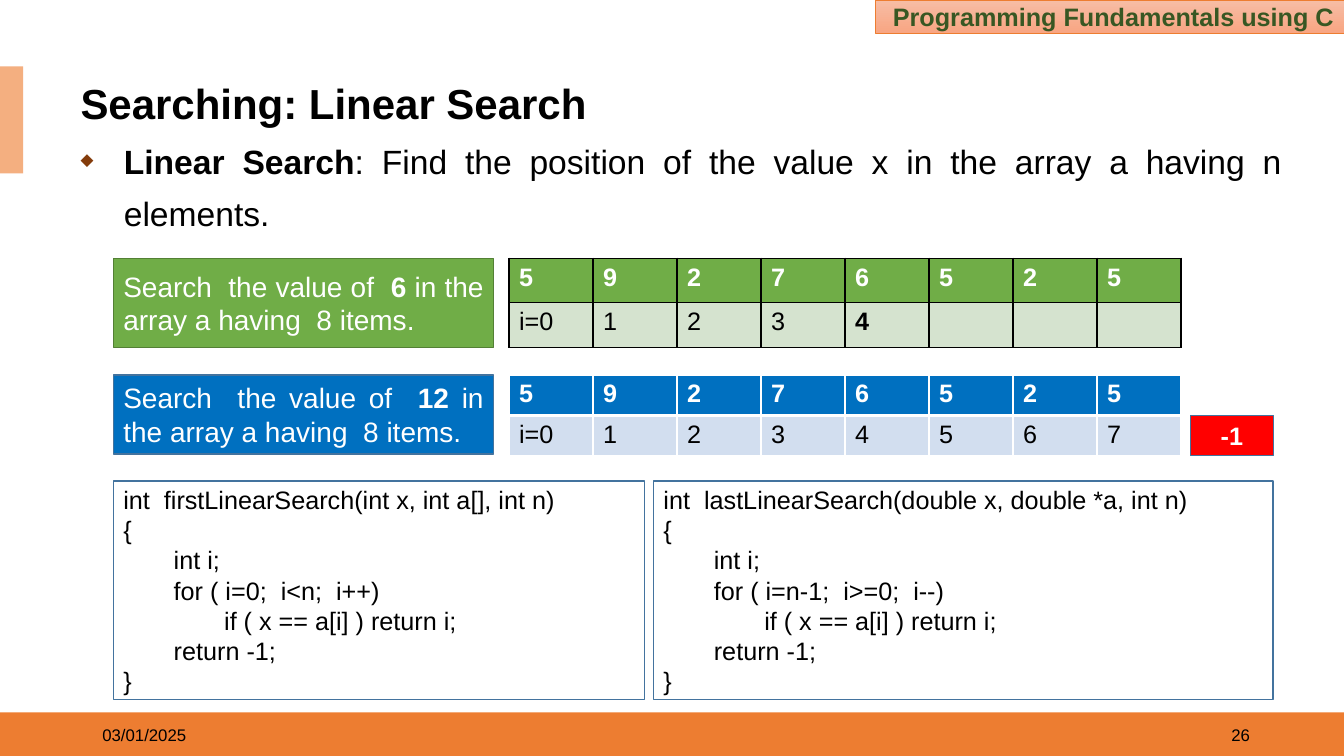
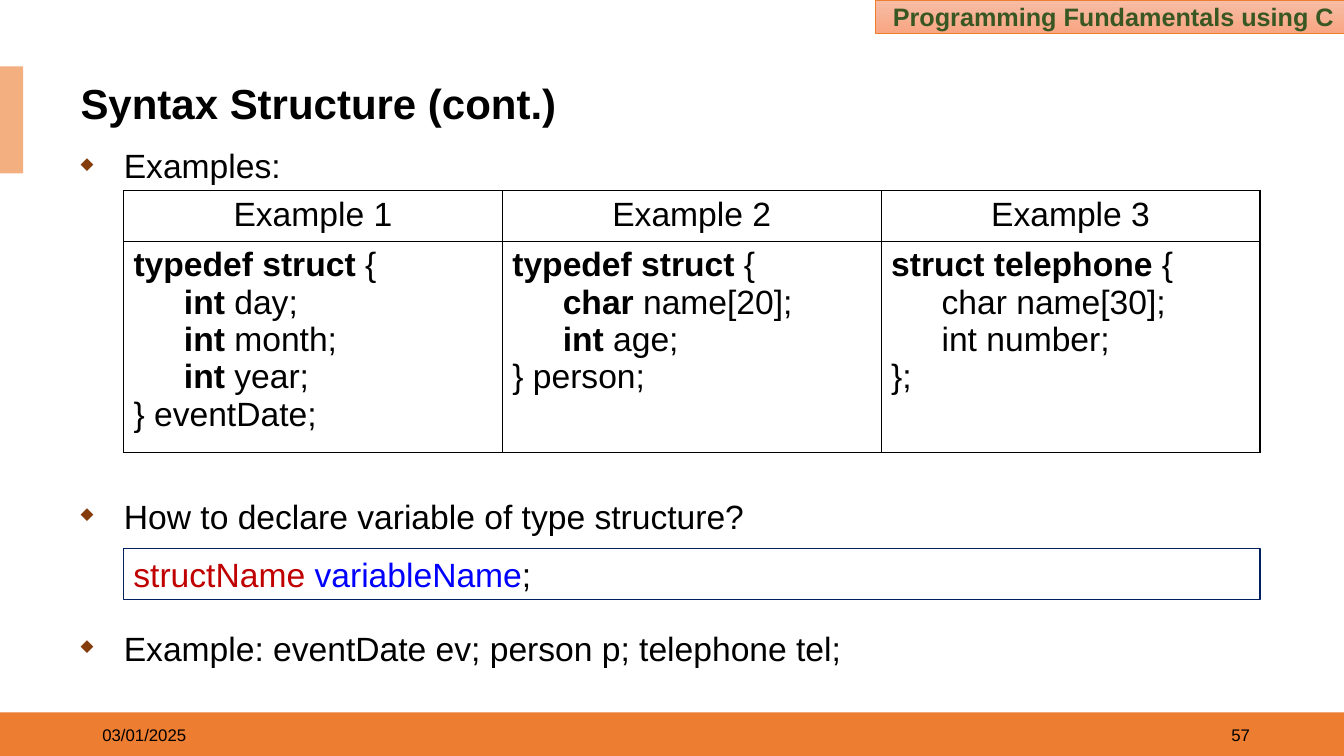
from lxml.etree import SubElement
from pptx import Presentation
from pptx.dml.color import RGBColor
from pptx.enum.shapes import MSO_SHAPE
from pptx.enum.text import MSO_ANCHOR, PP_ALIGN
from pptx.oxml.ns import qn
from pptx.util import Inches, Pt

COLS, ROWS = 160, 90  # grid of the slide
HEX = {
    "black": "000000", "white": "FFFFFF", "orange": "ED7D31", "peach": "F4AF80",
    "light": "F7BDA5", "deep": "F8A582", "olive": "385723", "brown": "843C0B",
    "green": "70AD47", "moss": "538035", "mint": "D5E3CF", "blue": "0070C0",
    "steel": "43739E", "ice": "D2DEEF", "red": "FF0000", "navy": "002060",
    "wine": "C00000", "pure": "0000FF",
}
# font formats by role
FONT = {
    "head": dict(size=Pt(18), bold=True, color="olive"),
    "title": dict(size=Pt(30), bold=True, color="black"),
    "body": dict(size=Pt(24), color="black"),
    "foot": dict(size=Pt(12), color="black"),
    "task": dict(size=Pt(20), color="white"),
    "code": dict(size=Pt(18), color="black"),
    "key": dict(size=Pt(18), bold=True, color="white"),
}


def tint(name):
    return RGBColor.from_string(HEX[name])


def bold(text):
    return text, dict(bold=True)


def line(*runs, **form):
    """One paragraph: its runs and its paragraph format."""
    return runs, form


class Deck:
    def __init__(self):
        self.prs = Presentation()
        self.prs.slide_width, self.prs.slide_height = Inches(13.33), Inches(7.5)
        self.slide = None

    def grid(self, x, y, w, h):
        dx, dy = self.prs.slide_width / COLS, self.prs.slide_height / ROWS
        return int(x * dx), int(y * dy), int(w * dx), int(h * dy)

    # text
    def add(self, para, text, form):
        run = para.add_run()
        run.text = text
        for key, val in {"name": "Arial", "bold": False, **form}.items():
            if key == "color":
                run.font.color.rgb = tint(val)
            else:
                setattr(run.font, key, val)

    def put(self, frame, lines, role, **base):
        frame.word_wrap = True
        for num, (runs, form) in enumerate(lines):
            para = frame.add_paragraph() if num else frame.paragraphs[0]
            form = {"alignment": PP_ALIGN.LEFT, **base, **form}
            if form.pop("bullet", False):
                self.bullet(para)
            left = form.pop("left", 0)
            if left:
                para._p.get_or_add_pPr().set("marL", str(Inches(left)))
            for key, val in form.items():
                setattr(para, key, val)
            for part in runs:
                text, more = (part, {}) if isinstance(part, str) else part
                self.add(para, text, {**FONT[role], **more})

    def bullet(self, para):
        props = para._p.get_or_add_pPr()
        props.set("marL", str(Inches(0.43)))
        props.set("indent", str(-Inches(0.43)))
        SubElement(SubElement(props, qn("a:buClr")), qn("a:srgbClr"), val=HEX["brown"])
        SubElement(props, qn("a:buSzPct"), val="50000")
        SubElement(props, qn("a:buChar"), char="◆")

    def text(self, at, lines, role, anchor=MSO_ANCHOR.MIDDLE, **base):
        frame = self.slide.shapes.add_textbox(*self.grid(*at)).text_frame
        frame.vertical_anchor = anchor
        self.put(frame, lines, role, **base)

    # shapes
    def box(self, at, fill=None, edge=None, lines=(), role="body", width=1, **base):
        shape = self.slide.shapes.add_shape(MSO_SHAPE.RECTANGLE, *self.grid(*at))
        shape.shadow.inherit = False
        if fill:
            shape.fill.solid()
            shape.fill.fore_color.rgb = tint(fill)
        else:
            shape.fill.background()
        if edge:
            shape.line.color.rgb = tint(edge)
            shape.line.width = Pt(width)
        else:
            shape.line.fill.background()
        shape.text_frame.vertical_anchor = MSO_ANCHOR.MIDDLE
        self.put(shape.text_frame, lines, role, **base)
        return shape

    # tables
    def edges(self, cell, color, low):
        props = cell._tc.get_or_add_tcPr()
        for side in "LRTB":
            wide = low if side == "B" else 1
            edge = SubElement(props, qn("a:ln" + side), w=str(Pt(wide)))
            SubElement(SubElement(edge, qn("a:solidFill")), qn("a:srgbClr"), val=HEX[color])

    def table(self, x, y, wide, highs, rows, roles, fills, edge, low=1, **top):
        count = len(rows[0])
        at = self.grid(x, y, wide * count, sum(highs))
        table = self.slide.shapes.add_table(len(rows), count, *at).table
        table.first_row = table.horz_banding = False
        for col in table.columns:
            col.width = self.grid(0, 0, wide, 0)[2]
        for r, cells in enumerate(rows):
            table.rows[r].height = self.grid(0, 0, 0, highs[r])[3]
            for c, lines in enumerate(cells):
                cell = table.cell(r, c)
                self.edges(cell, edge, 1 if r else low)
                if fills:
                    cell.fill.solid()
                    cell.fill.fore_color.rgb = tint(fills[r])
                else:
                    cell.fill.background()
                self.put(cell.text_frame, lines, roles[r], **({} if r else top))

    # shared frame of every slide
    def page(self, title, num):
        self.slide = self.prs.slides.add_slide(self.prs.slide_layouts[6])
        self.box((0, 84.8, COLS, 5.2), "orange")
        self.box((0, 7.9, 2.75, 12.75), "peach")
        head = self.box((104.25, 0, 55.75, 4), "light", "orange",
                        [line("Programming Fundamentals using C")], "head",
                        width=0.5, alignment=PP_ALIGN.RIGHT)
        head.fill.gradient()
        head.fill.gradient_angle = 270
        for stop, name in zip(head.fill.gradient_stops, ("light", "deep")):
            stop.color.rgb = tint(name)
        self.text((8.4, 9.5, 145.4, 6.1), [line(title)], "title", line_spacing=0.9)
        self.text((114, 85.1, 36, 4.8), [line(num)], "foot", alignment=PP_ALIGN.RIGHT)
        self.text((11, 85.1, 36, 4.8), [line("03/01/2025")], "foot")

    def body(self, y, lines):
        self.text((8.4, y, 145.4, 67.2), lines, "body", MSO_ANCHOR.TOP,
                  alignment=PP_ALIGN.JUSTIFY, line_spacing=1.3, bullet=True)


def search(deck):
    deck.page("Searching: Linear Search", "26")
    deck.body(14.75, [line(bold("Linear Search"), ": Find the position of the value x "
                           "in the array a having n elements.")])
    # two searches: task, array and index row
    plain = ["i=0", *"1234567"]
    found = [*plain[:4], bold("4"), "", "", ""]
    for y, high, value, index, fill, pale, rim, edge, low in (
            (30.75, 10.6, "6", found, "green", "mint", "moss", "black", 1),
            (44.65, 9.4, "12", plain, "blue", "ice", "steel", "white", 3)):
        deck.box((13.5, y, 45.25, high), fill, rim,
                 [line("Search  the value of  ", bold(value),
                       " in the array a having  8 items.")],
                 "task", alignment=PP_ALIGN.JUSTIFY)
        rows = [[[line(item)] if item else [] for item in row]
                for row in ("59276525", index)]
        deck.table(60.6, y, 10, [high / 2] * 2, rows, ("key", "code"),
                   (fill, pale), edge, low)
    deck.box((141.7, 49.45, 9.9, 4.8), "red", "steel", [line("-1")], "key",
             alignment=PP_ALIGN.CENTER)
    # both functions
    for x, wide, head, loop in (
            (13.5, 63.25, "firstLinearSearch(int x, int a[], int n)", "i=0;  i<n;  i++"),
            (77.8, 73.75, "lastLinearSearch(double x, double *a, int n)",
             "i=n-1;  i>=0;  i--")):
        code = (f"int  {head}", "{", "\tint i;", f"\tfor ( {loop})",
                "\t\tif ( x == a[i] ) return i;", "\treturn -1;", "}")
        deck.box((x, 57.25, wide, 26), None, "steel", [line(row) for row in code], "code")


def syntax(deck):
    deck.page("Syntax Structure (cont.)", "57")
    deck.body(15.25, [
        line("Examples:"),
        line("How to declare variable of type structure?", space_before=Pt(213)),
        line("Example: eventDate ev; person p; telephone tel;", space_before=Pt(57)),
    ])
    # three examples
    structs = (
        ("typedef struct", [(bold("int"), f" {name};") for name in ("day", "month", "year")],
         "} eventDate;"),
        ("typedef struct", [(bold("char"), " name[20];"), (bold("int"), " age;")],
         "} person;"),
        ("struct telephone", [("char name[30];",), ("int number;",)], "};"),
    )
    heads = [[line(f"Example {num}")] for num in (1, 2, 3)]
    codes = [[line(bold(head), " {"), *(line(*runs, left=0.5) for runs in parts), line(end)]
             for head, parts, end in structs]
    deck.table(14.7, 22.7, 45.1, (5.65, 23.5), [heads, codes], ("body", "body"),
               None, "black", alignment=PP_ALIGN.CENTER)
    deck.box((14.7, 65.3, 135.3, 6.1), None, "navy",
             [line(("structName ", dict(color="wine")),
                   ("variableName", dict(color="pure")), ";")])


def main():
    deck = Deck()
    search(deck)
    syntax(deck)
    deck.prs.save("out.pptx")


if __name__ == "__main__":
    main()
